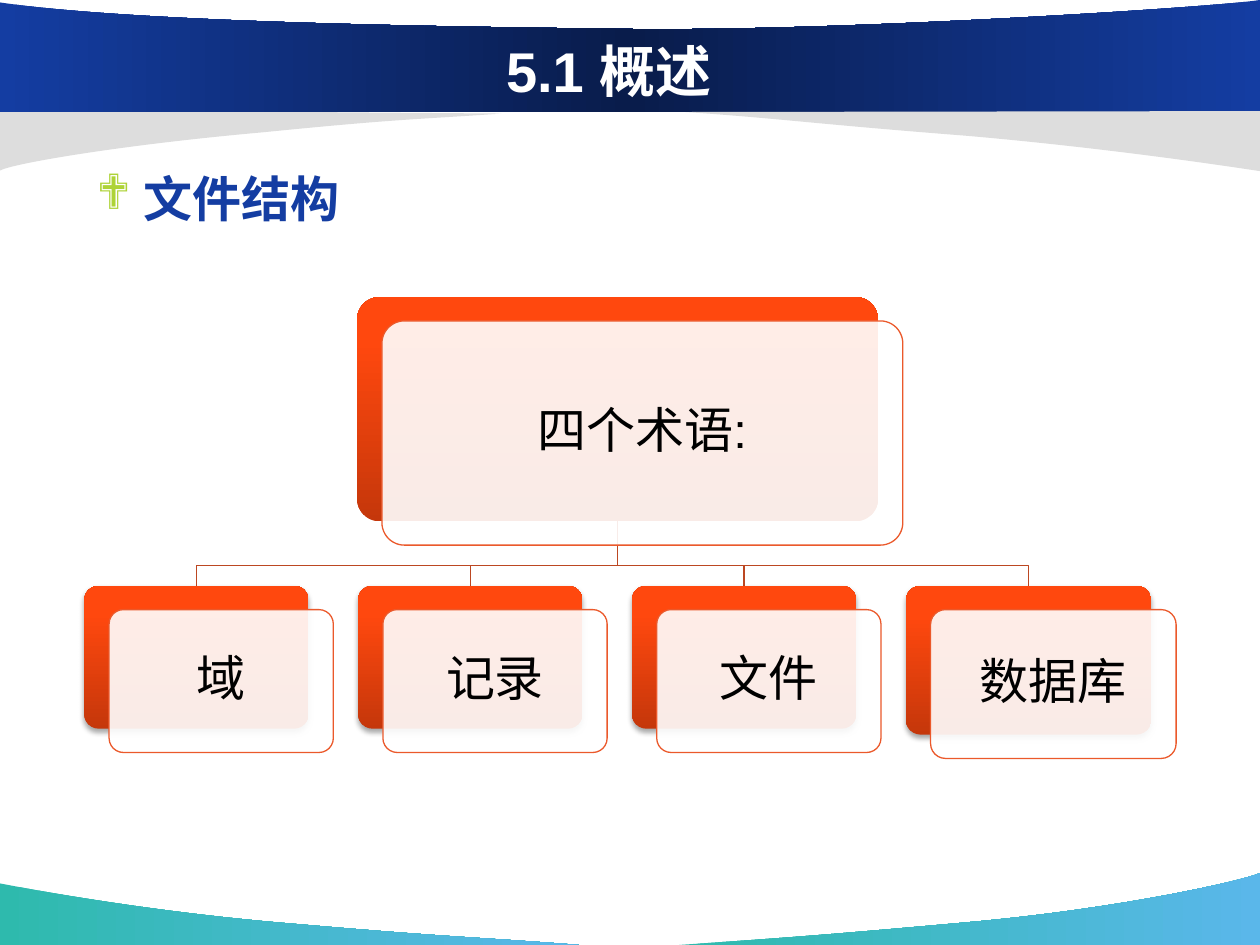
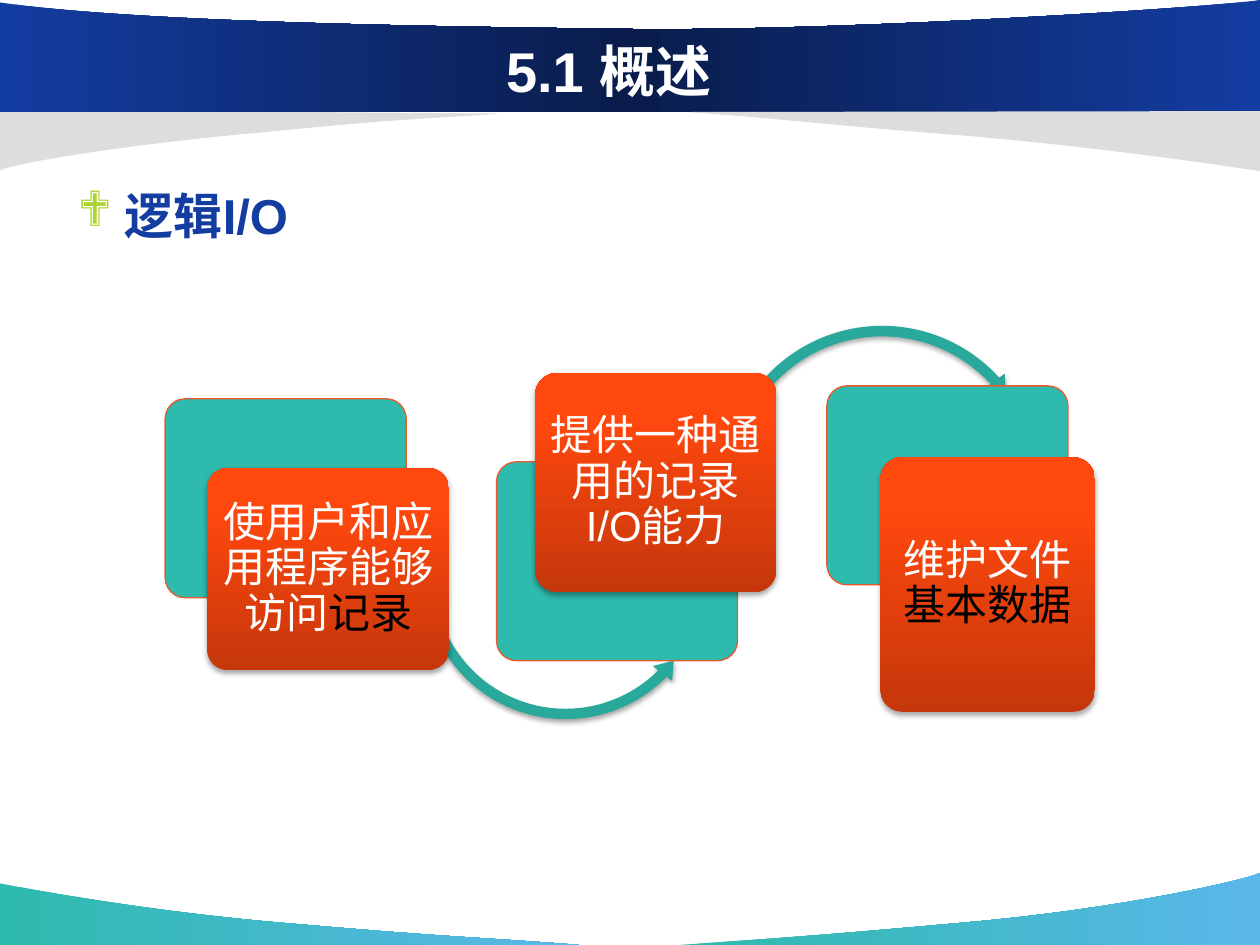
"""Build two slides on file structure and logical I/O."""
from dataclasses import dataclass
from typing import NamedTuple

from lxml import etree
from pptx import Presentation
from pptx import util as u
from pptx.dml.color import RGBColor
from pptx.enum import shapes, text
from pptx.oxml.ns import qn
from pptx.shapes.autoshape import Shape
from pptx.slide import Slide

NAVY = RGBColor(0x14, 0x3D, 0xA2)
DEEP = RGBColor(0x09, 0x1C, 0x4B)
TEAL = RGBColor(0x2E, 0xBA, 0xAD)
PINE = RGBColor(0x29, 0xA8, 0x9C)
SKY = RGBColor(0x5A, 0xB7, 0xEA)
GREY = RGBColor(0xDD, 0xDD, 0xDD)
LIME = RGBColor(0xAE, 0xD3, 0x37)
RUST = RGBColor(0xC5, 0x37, 0x0B)
FLAME = RGBColor(0xFF, 0x48, 0x0E)
GLOW = RGBColor(0xFF, 0x49, 0x10)
EDGE = RGBColor(0xEB, 0x59, 0x2B)
TWIG = RGBColor(0xBC, 0x47, 0x22)
WHITE = RGBColor(0xFF, 0xFF, 0xFF)
BLACK = RGBColor(0, 0, 0)
FONT = "Arial"
WIDE, HIGH = 25.4, 19.05

Point = tuple[float, float]
Stops = tuple[tuple[int, RGBColor], ...]
ROUND = shapes.MSO_SHAPE.ROUNDED_RECTANGLE
SEA: Stops = ((0, TEAL), (100, SKY))
BAND: Stops = ((0, NAVY), (50, DEEP), (100, NAVY))
FIRE: Stops = ((0, RUST), (80, FLAME), (100, GLOW))


class Box(NamedTuple):
    """Left, top, width and height in centimetres."""
    x: float
    y: float
    w: float
    h: float

    def shift(self, dx: float, dy: float) -> "Box":
        """Return the box moved by the given distance."""
        return Box(self.x + dx, self.y + dy, self.w, self.h)

    def emu(self) -> tuple[u.Length, ...]:
        """Return the four lengths for python-pptx."""
        return tuple(u.Cm(n) for n in self)


class Words(NamedTuple):
    """A run of text in one colour."""
    body: str
    color: RGBColor


class Wave(NamedTuple):
    """A closed outline: each leg holds one point (line) or three (curve)."""
    start: Point
    legs: tuple[tuple[Point, ...], ...]
    fill: Stops


class Arc(NamedTuple):
    """A circular arrow and its adjustments."""
    kind: shapes.MSO_SHAPE
    box: Box
    turn: tuple[float, ...]


@dataclass
class Step:
    """A plate with a text card on it and perhaps an arrow to the next."""
    plate: Point
    card: Box
    runs: tuple[Words, ...]
    arc: Arc | None = None


WAVES = (
    Wave((11.68, HIGH), (((9.75, 18.9), (9.09, 18.9), (5.89, 18.62)),
                         ((2.69, 18.36), (0.03, 17.81), (0, 17.81)),
                         ((0, HIGH),)), SEA),
    Wave((13.69, HIGH), (((15.6, 18.92), (16.41, 18.87), (19.53, 18.59)),
                         ((22.66, 18.31), (25.15, 17.73), (WIDE, 17.6)),
                         ((WIDE, HIGH),)), SEA),
    Wave((10.11, 2.29), (((8.41, 2.41), (8.08, 2.39), (5.28, 2.67)),
                         ((2.46, 2.92), (0.23, 3.3), (0, 3.44)),
                         ((0, 2.21),)), ((0, GREY),)),
    Wave((0, 2.26), (((WIDE, 2.26),), ((WIDE, 0),),
                     ((24.49, 0.15), (16.59, 0.66), (12.37, 0.58)),
                     ((8.15, 0.53), (2.57, 0.43), (0, 0.05))), BAND),
    Wave((13.82, 2.26), (((15.75, 2.39), (16.31, 2.49), (19.51, 2.74)),
                         ((22.71, 3.02), (25.37, 3.45), (WIDE, 3.45)),
                         ((WIDE, 2.24),)), ((0, GREY),)),
)

ROOT = Box(7.2, 5.99, 10.5, 4.52)
LEAF = Box(1.7, 11.81, 4.52, 2.88)
LAST = Box(1.7, 11.81, 4.95, 3)
PITCH = 5.52
FORK = 11.4
TERMS = (("域", LEAF), ("记录", LEAF), ("文件", LEAF), ("数据库", LAST))

STEPS = (
    Step((3.33, 8.04), Box(4.18, 9.44, 4.87, 4.07),
         (Words("使用户和应用程序能够访问", WHITE), Words("记录", BLACK)),
         Arc(shapes.MSO_SHAPE.LEFT_CIRCULAR_ARROW, Box(8.4, 8.64, 6, 6),
             (0.035, 4.356, 26.86, 94.994, 0.041))),
    Step((10.01, 9.31), Box(10.79, 7.52, 4.86, 4.42),
         (Words("提供一种通用的记录I/O能力", WHITE),),
         Arc(shapes.MSO_SHAPE.CIRCULAR_ARROW, Box(14.46, 6.43, 6.65, 6.65),
             (0.032, 3.878, 190.549, 121.937, 0.037))),
    Step((16.67, 7.78), Box(17.75, 9.22, 4.32, 5.13),
         (Words("维护文件", WHITE), Words("基本数据", BLACK))),
)


def sub(node: etree._Element, tag: str, **attrs: object) -> etree._Element:
    """Append a DrawingML child to a node."""
    return etree.SubElement(node, qn(f"a:{tag}"), {k: str(v) for k, v in attrs.items()})


def paint(shape: Shape, stops: Stops, angle: float = 0, line: RGBColor | None = None) -> None:
    """Set a solid or gradient fill, the outline, and no shadow."""
    shape.shadow.inherit = False
    if len(stops) == 1:
        shape.fill.solid()
        shape.fill.fore_color.rgb = stops[0][1]
    else:
        shape.fill.gradient()
        shape.fill.gradient_angle = angle
        ramp = next(shape._element.spPr.iter(qn("a:gsLst")))
        for old in list(ramp):
            ramp.remove(old)
        for place, color in stops:
            sub(sub(ramp, "gs", pos=place * 1000), "srgbClr", val=color)
    if line is None:
        shape.line.fill.background()
    else:
        shape.line.color.rgb = line
        shape.line.width = u.Pt(0.75)


def shade(shape: Shape) -> None:
    """Give a painted shape a soft shadow below it."""
    effect = shape._element.spPr.find(qn("a:effectLst"))
    drop = sub(effect, "outerShdw", blurRad=u.Pt(3.1), dist=u.Pt(1.8),
               dir=5400000, rotWithShape=0)
    sub(sub(drop, "srgbClr", val=BLACK), "alpha", val=35000)


def block(slide: Slide, box: Box, stops: Stops, line: RGBColor | None = None) -> Shape:
    """Draw a rounded rectangle."""
    shape = slide.shapes.add_shape(ROUND, *box.emu())
    shape.adjustments[0] = 0.1
    paint(shape, stops, 90, line)
    return shape


def write(shape: Shape, runs: tuple[Words, ...], size: int, bold: bool = False):
    """Fill a shape with one paragraph, run by run, and return it."""
    shape.text_frame.word_wrap = True
    para = shape.text_frame.paragraphs[0]
    for words in runs:
        run = para.add_run()
        run.text = words.body
        run.font.name, run.font.size, run.font.bold = FONT, u.Pt(size), bold
        run.font.color.rgb = words.color
    return para


def label(shape: Shape, runs: tuple[Words, ...], size: int, side: float, top: float) -> None:
    """Write centred text inside a card."""
    frame = shape.text_frame
    frame.vertical_anchor = text.MSO_ANCHOR.MIDDLE
    frame.margin_left = frame.margin_right = u.Cm(side)
    frame.margin_top = frame.margin_bottom = u.Cm(top)
    para = write(shape, runs, size)
    para.alignment = text.PP_ALIGN.CENTER
    para.line_spacing = 0.9


def trace(slide: Slide, points: list[Point], close: bool) -> Shape:
    """Draw an outline through points given in centimetres."""
    first, *rest = [(u.Cm(x), u.Cm(y)) for x, y in points]
    path = slide.shapes.build_freeform(*first)
    path.add_line_segments(rest, close=close)
    return path.convert_to_shape()


def wave(slide: Slide, item: Wave) -> None:
    """Draw one curved band, joining each three-point leg into a curve."""
    shape = trace(slide, [item.start, *(p for leg in item.legs for p in leg)], True)
    lines = iter(list(shape._element.spPr.iter(qn("a:lnTo"))))
    for leg in item.legs:
        parts = [next(lines) for _ in leg]
        if len(parts) == 3:
            curve = etree.Element(qn("a:cubicBezTo"))
            parts[0].addprevious(curve)
            for part in parts:
                curve.append(part[0])
                part.getparent().remove(part)
    paint(shape, item.fill)


def start(deck, head: str, box: Box, gap: float) -> Slide:
    """Add a slide with bands, title and bulleted heading."""
    slide = deck.slides.add_slide(deck.slide_layouts[6])
    for item in WAVES:
        wave(slide, item)
    title = slide.shapes.add_textbox(*Box(2.33, 0.62, 19.89, 1.57).emu())
    title.text_frame.vertical_anchor = text.MSO_ANCHOR.MIDDLE
    para = write(title, (Words("5.1 概述", WHITE),), 32, True)
    para.alignment = text.PP_ALIGN.CENTER
    para = write(slide.shapes.add_textbox(*box.emu()), (Words(head, NAVY),), 28, True)
    para.line_spacing = gap
    props = para._p.get_or_add_pPr()
    props.set("marL", str(u.Cm(0.95)))
    props.set("indent", str(u.Cm(-0.95)))
    sub(sub(props, "buClr"), "srgbClr", val=LIME)
    sub(props, "buFont", typeface="Wingdings", pitchFamily=2, charset=2)
    sub(props, "buChar", char="❖")
    return slide


def node(slide: Slide, box: Box, term: str, raised: bool = True) -> None:
    """Draw a term: a fiery card with a pale text card in front."""
    back = block(slide, box, FIRE)
    if raised:
        shade(back)
    front = block(slide, box.shift(0.5, 0.48), ((0, WHITE),), EDGE)
    tint = front._element.spPr.find(qn("a:solidFill"))
    sub(tint[0], "alpha", val=90000)
    label(front, (Words(term, BLACK),), 28, 0.3, 0.3)


def tree(slide: Slide) -> None:
    """Draw the root term, its branches and its leaves."""
    leaves = [(term, box.shift(i * PITCH, 0)) for i, (term, box) in enumerate(TERMS)]
    stem, foot = ROOT.x + ROOT.w / 2, ROOT.y + ROOT.h
    for _, box in reversed(leaves):
        mid = box.x + box.w / 2
        twig = trace(slide, [(stem, foot), (stem, FORK), (mid, FORK), (mid, box.y)], False)
        paint(twig, ((0, WHITE),), line=TWIG)
        twig.fill.background()
    node(slide, ROOT, "四个术语:", False)
    for term, box in leaves:
        node(slide, box, term)


def flow(slide: Slide) -> None:
    """Draw the steps with the arrows that lead from one to the next."""
    for step in STEPS:
        block(slide, Box(*step.plate, 4.86, 4.01), ((0, TEAL),), EDGE)
        if step.arc:
            arrow = slide.shapes.add_shape(step.arc.kind, *step.arc.box.emu())
            for i, turn in enumerate(step.arc.turn):
                arrow.adjustments[i] = turn
            paint(arrow, ((0, PINE),))
            shade(arrow)
        card = block(slide, step.card, FIRE)
        shade(card)
        label(card, step.runs, 24, 0.12, 0.08)


def main() -> None:
    """Build and save the deck."""
    deck = Presentation()
    deck.slide_width, deck.slide_height = u.Cm(WIDE), u.Cm(HIGH)
    tree(start(deck, "文件结构", Box(1.7, 3.28, 23.22, 2.46), 1.0))
    flow(start(deck, "逻辑I/O", Box(1.32, 3.31, 21.79, 3.61), 1.25))
    deck.save("out.pptx")


if __name__ == "__main__":
    main()
